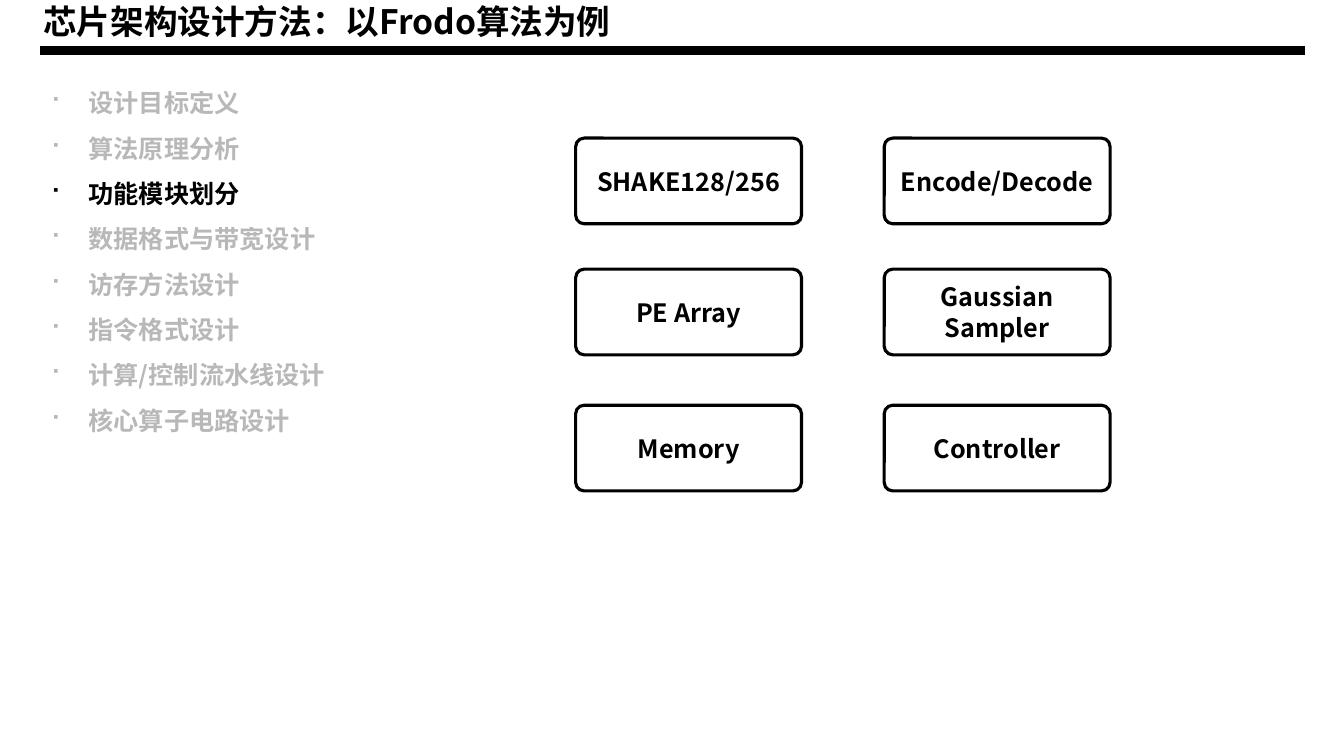
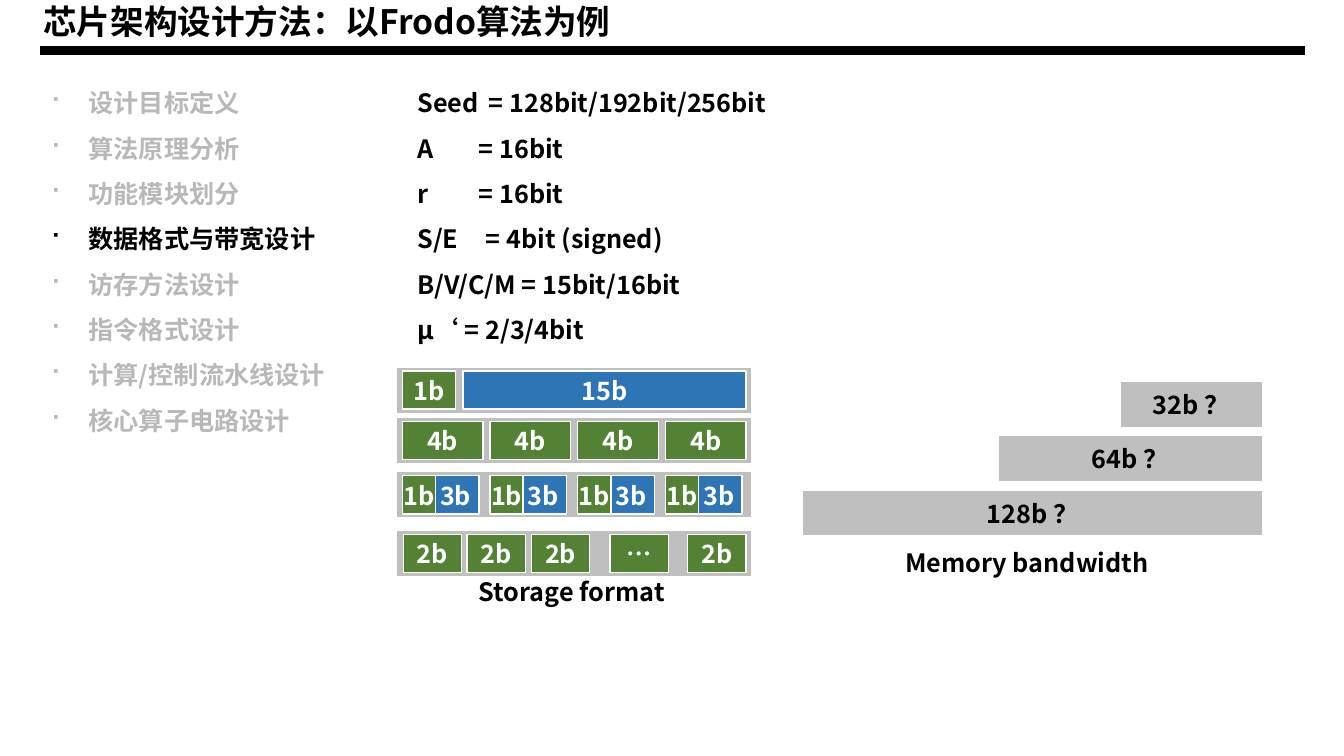
import pptx
import pptx.dml.color
import pptx.enum.shapes
import pptx.enum.text
import pptx.oxml
import pptx.oxml.ns
import pptx.util
from lxml import etree

Inches = pptx.util.Inches
Pt = pptx.util.Pt
RGBColor = pptx.dml.color.RGBColor
Shape = pptx.enum.shapes.MSO_SHAPE
Align = pptx.enum.text.PP_ALIGN

BLACK = RGBColor(0x00, 0x00, 0x00)
WHITE = RGBColor(0xFF, 0xFF, 0xFF)
GREY = RGBColor(0xBF, 0xBF, 0xBF)
GREEN = RGBColor(0x54, 0x82, 0x35)
BLUE = RGBColor(0x2E, 0x75, 0xB6)

FONT = "Noto Sans CJK SC"
BODY_FORMAT = {"name": FONT, "size": Pt(18), "bold": True}
TITLE_FORMAT = {**BODY_FORMAT, "size": Pt(24)}
FADED_ALPHA = 27000

TITLE = "芯片架构设计方法：以Frodo算法为例"
TOPICS = [
    "设计目标定义", "算法原理分析", "功能模块划分", "数据格式与带宽设计",
    "访存方法设计", "指令格式设计", "计算/控制流水线设计", "核心算子电路设计",
]
MODULES = [
    ("SHAKE128/256", "Encode/Decode"),
    ("PE Array", "Gaussian Sampler"),
    ("Memory", "Controller"),
]
WIDTHS = [
    ("Seed\t= 128bit/192bit/256bit", 0.71),
    ("A\t= 16bit", 0.61),
    ("r\t= 16bit", 0.61),
    ("S/E\t= 4bit (signed)", 0.68),
    ("B/V/C/M = 15bit/16bit", None),
    ("μ‘ = 2/3/4bit", None),
]
PITCH = 0.87
STORAGE_ROWS = [
    (0, [(0.06, 0.53, "1b", GREEN), (0.66, 2.81, "15b", BLUE)]),
    (0.5, [(0.06 + PITCH * column, 0.8, "4b", GREEN) for column in range(4)]),
    (1.04, [(start + PITCH * column, width, text, colour)
            for column in range(4)
            for start, width, text, colour in [(0.36, 0.46, "3b", BLUE), (0.06, 0.33, "1b", GREEN)]]),
    (1.62, [(start, 0.58, text, GREEN)
            for start, text in [(0.07, "2b"), (0.7, "2b"), (1.34, "2b"), (2.12, "…"), (2.89, "2b")]]),
]
BANDWIDTHS = [("32b ？", 1.41), ("64b ？", 2.62), ("128b ？", 4.56)]


def add_xml(parent, tag, **attributes):
    """Append a DrawingML element and return it."""
    return etree.SubElement(parent, pptx.oxml.ns.qn(tag), attributes)


def write(para, text, colour=BLACK, values=BODY_FORMAT, faded=False):
    """Add one formatted run to a paragraph."""
    span = para.add_run()
    span.text = text
    for name, value in values.items():
        setattr(span.font, name, value)
    span.font.color.rgb = colour
    properties = span.font._element
    add_xml(properties, "a:ea", typeface=FONT)
    if faded:
        colour_element = properties.find(".//" + pptx.oxml.ns.qn("a:srgbClr"))
        add_xml(colour_element, "a:alpha", val=str(FADED_ALPHA))


def add_text_box(page, box, wrap=True):
    """Add a text box and return its text frame."""
    frame = page.shapes.add_textbox(*map(Inches, box)).text_frame
    frame.word_wrap = wrap
    frame.auto_size = pptx.enum.text.MSO_AUTO_SIZE.SHAPE_TO_FIT_TEXT
    return frame


def add_lines(frame, count):
    """Yield the given number of widely spaced paragraphs."""
    for index in range(count):
        para = frame.add_paragraph() if index else frame.paragraphs[0]
        para.line_spacing = 1.5
        yield para


def add_block(page, box, text="", fill=GREY, ink=BLACK, line=WHITE, weight=1,
              kind=Shape.RECTANGLE, inset=0.1):
    """Add a filled block with centred text."""
    block = page.shapes.add_shape(kind, *map(Inches, box))
    block.shadow.inherit = False
    block.fill.solid()
    block.fill.fore_color.rgb = fill
    block.line.color.rgb = line
    block.line.width = Pt(weight)
    if text:
        frame = block.text_frame
        settings = {
            "word_wrap": True,
            "vertical_anchor": pptx.enum.text.MSO_ANCHOR.MIDDLE,
            "margin_left": Inches(inset),
            "margin_right": Inches(inset),
        }
        for name, value in settings.items():
            setattr(frame, name, value)
        frame.paragraphs[0].alignment = Align.CENTER
        write(frame.paragraphs[0], text, ink)
    return block


def add_header(page, left, top, width):
    """Draw the title with its thick rule."""
    frame = add_text_box(page, (left, top, width, 0.5))
    write(frame.paragraphs[0], TITLE, values=TITLE_FORMAT)
    ends = (left + 0.07, top + 0.54, left + width, top + 0.54)
    rule = page.shapes.add_connector(pptx.enum.shapes.MSO_CONNECTOR.STRAIGHT, *map(Inches, ends))
    rule.line.color.rgb = BLACK
    rule.line.width = Pt(6)
    add_xml(rule._element.spPr, "a:effectLst")


def add_agenda(page, box, current):
    """List the topics and fade all but the current one."""
    frame = add_text_box(page, box)
    indent = Inches(0.38)
    for para, topic in zip(add_lines(frame, len(TOPICS)), TOPICS):
        properties = para._p.get_or_add_pPr()
        properties.set("marL", str(indent))
        properties.set("indent", str(-indent))
        add_xml(properties, "a:buFont", typeface="Wingdings")
        add_xml(properties, "a:buChar", char="■")
        write(para, topic, faded=topic != current)


def add_modules(page, left, top):
    """Draw the grid of functional modules."""
    for row, names in enumerate(MODULES):
        for column, name in enumerate(names):
            box = (left + 3.06 * column, top + (0, 1.3, 2.65)[row], 2.24, 0.85)
            block = add_block(page, box, name, WHITE, line=BLACK, weight=2.25,
                              kind=Shape.ROUNDED_RECTANGLE)
            block.adjustments[0] = 0.1


def add_data_widths(page, box):
    """List the bit width of each quantity."""
    frame = add_text_box(page, box)
    for para, (text, stop) in zip(add_lines(frame, len(WIDTHS)), WIDTHS):
        if stop:
            tabs = add_xml(para._p.get_or_add_pPr(), "a:tabLst")
            add_xml(tabs, "a:tab", pos=str(Inches(stop)), algn="l")
        write(para, text)


def add_caption(page, box, text):
    """Add an unwrapped caption."""
    write(add_text_box(page, box, wrap=False).paragraphs[0], text)


def add_storage(page, left, top):
    """Draw the storage words with their bit fields."""
    for offset, cells in STORAGE_ROWS:
        add_block(page, (left, top + offset, 3.53, 0.46))
        for start, width, text, colour in cells:
            box = (left + start, top + offset + 0.04, width, 0.38)
            add_block(page, box, text, colour, WHITE, inset=0)
    add_caption(page, (left + 0.72, top + 2.03, 2.14, 0.4), "Storage format")


def add_bandwidth(page, right, top):
    """Draw the right-aligned bandwidth choices."""
    for row, (text, width) in enumerate(BANDWIDTHS):
        add_block(page, (right - width, top + 0.54 * row, width, 0.46), text)
    add_caption(page, (right - 3.64, top + 1.6, 2.73, 0.4), "Memory bandwidth")


def add_page(deck, current):
    """Add a slide with the shared title and agenda."""
    page = deck.slides.add_slide(deck.slide_layouts[6])
    add_header(page, 0.33, -0.04, 12.61)
    add_agenda(page, (0.4, 0.67, 3.04, 3.68), current)
    return page


def main():
    """Build and save the deck."""
    deck = pptx.Presentation()
    deck.slide_width = Inches(13.33)
    deck.slide_height = Inches(7.5)

    page = add_page(deck, "功能模块划分")
    add_modules(page, 5.71, 1.37)

    page = add_page(deck, "数据格式与带宽设计")
    add_data_widths(page, (4.04, 0.67, 4.45, 2.77))
    add_storage(page, 3.93, 3.64)
    add_bandwidth(page, 12.52, 3.78)

    deck.save("out.pptx")


if __name__ == "__main__":
    main()
